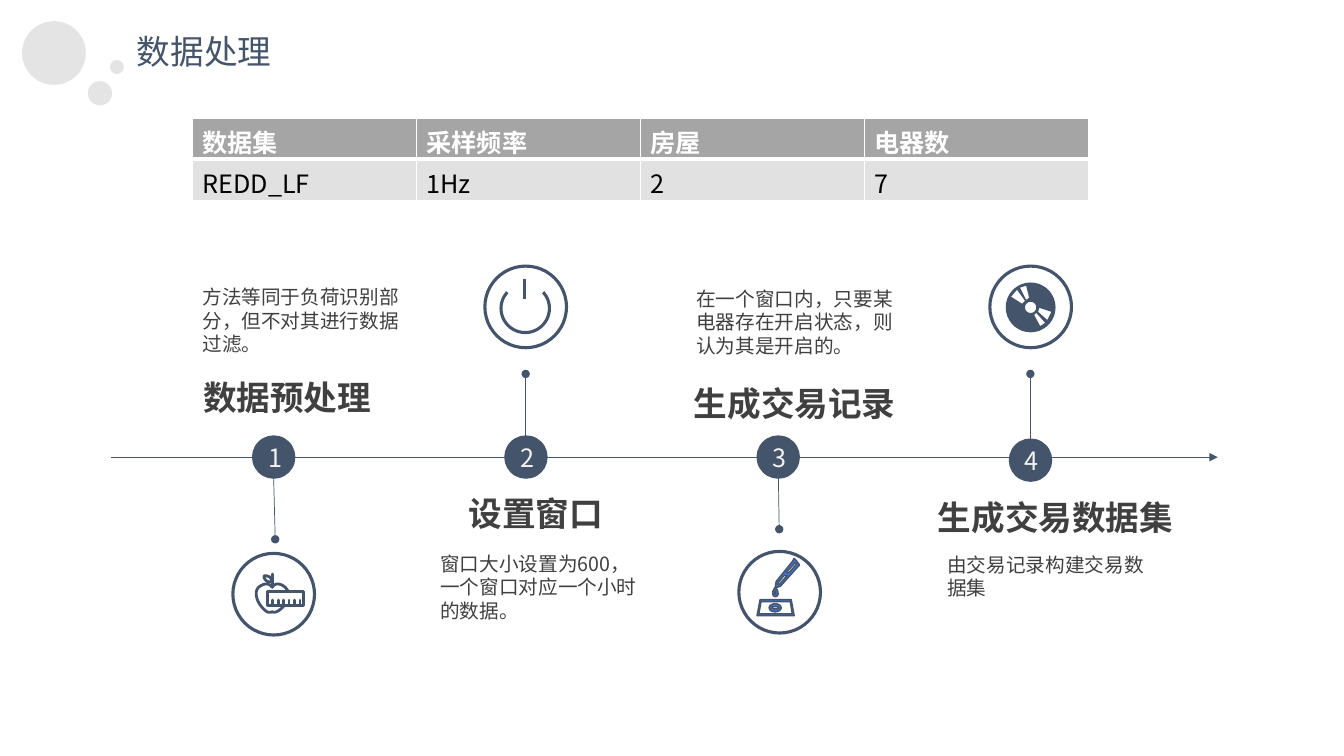
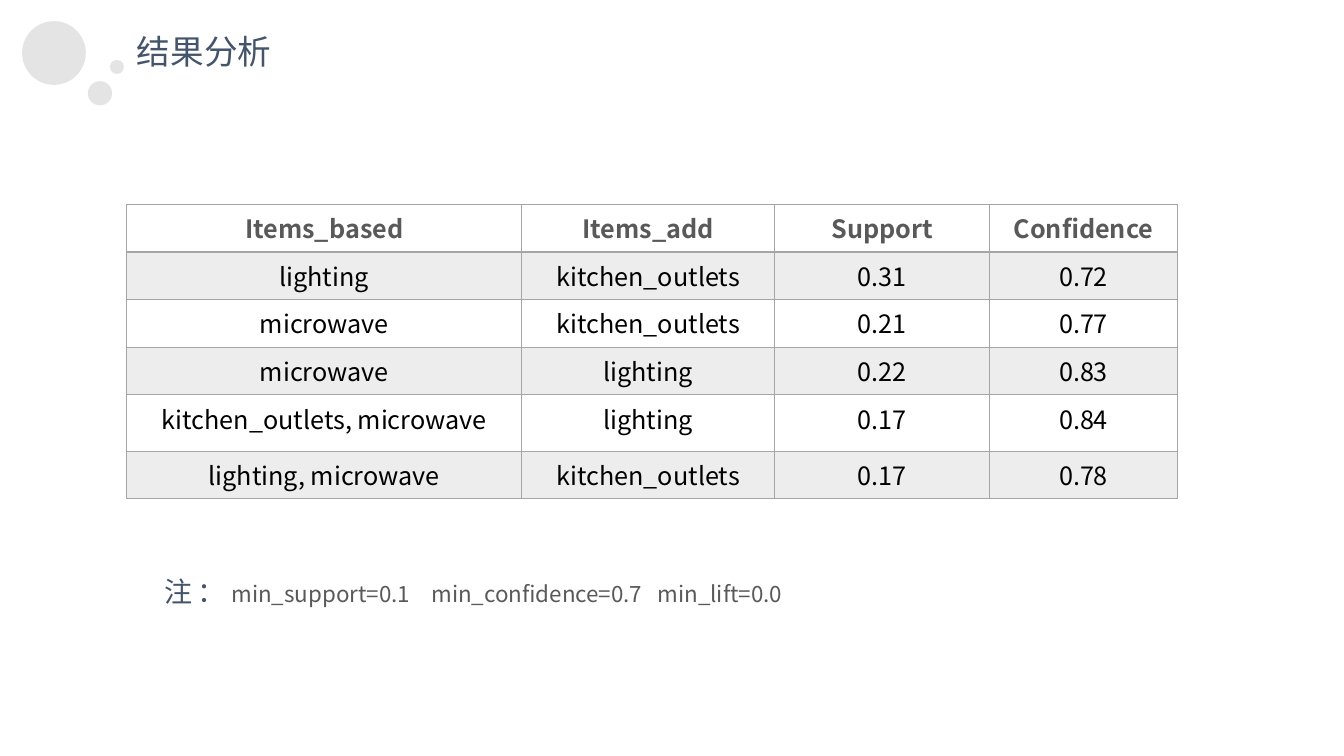
"""Builds two slides: a data-processing timeline and a table of association rules."""
from math import cos, radians, sin
from lxml.etree import SubElement
from pptx import Presentation
from pptx.dml.color import RGBColor
from pptx.enum.shapes import MSO_CONNECTOR, MSO_SHAPE
from pptx.enum.text import MSO_ANCHOR, PP_ALIGN
from pptx.oxml.ns import qn
from pptx.util import Pt

OVAL, DOT, BLOCK_ARC = MSO_SHAPE.OVAL, MSO_SHAPE.FLOWCHART_CONNECTOR, MSO_SHAPE.BLOCK_ARC
STRAIGHT = MSO_CONNECTOR.STRAIGHT
LEFT, CENTER, MIDDLE = PP_ALIGN.LEFT, PP_ALIGN.CENTER, MSO_ANCHOR.MIDDLE
FONT = "Noto Sans CJK SC"
NAVY = RGBColor(0x44, 0x54, 0x6A)
BLUE = RGBColor(0x44, 0x72, 0xC4)
DARK = RGBColor(0x40, 0x40, 0x40)
SLATE = RGBColor(0x59, 0x59, 0x59)
GRAY = RGBColor(0xA5, 0xA5, 0xA5)
SILVER = RGBColor(0xD9, 0xD9, 0xD9)
BAND = RGBColor(0xE1, 0xE1, 0xE1)
PALE = RGBColor(0xED, 0xED, 0xED)
NEAR_WHITE = RGBColor(0xF2, 0xF2, 0xF2)
WHITE = RGBColor(0xFF, 0xFF, 0xFF)
BLACK = RGBColor(0, 0, 0)


def style(p, size, color, bold=False, align=LEFT, leading=None):
    """Sets the alignment, line height and font of a paragraph."""
    p.alignment = align
    if leading:
        p.line_spacing = Pt(leading)
    f = p.font
    f.size, f.bold, f.name = Pt(size), bold, FONT
    f.color.rgb = color
    SubElement(p._p.pPr.find(qn("a:defRPr")), qn("a:ea"), typeface=FONT)


def outline(s, center, contours, fill=None, width=0):
    """Draws closed contours as one shape; a step is a point or the six numbers of a curve."""
    cx, cy = center
    builder = None
    for steps in contours:
        points = [steps[0]]
        for step in steps[1:]:
            if len(step) == 2:
                points.append(step)
                continue
            x0, y0 = points[-1]
            x1, y1, x2, y2, x3, y3 = step
            for t in (i / 8 for i in range(1, 9)):
                u = 1 - t
                a, b, c, d = u ** 3, 3 * u * u * t, 3 * u * t * t, t ** 3
                points.append((a * x0 + b * x1 + c * x2 + d * x3, a * y0 + b * y1 + c * y2 + d * y3))
        placed = [(Pt(cx + x), Pt(cy + y)) for x, y in points]
        if builder is None:
            builder = s.shapes.build_freeform(*placed[0], scale=1.0)
        else:
            builder.move_to(*placed[0])
        builder.add_line_segments(placed[1:], close=True)
    sp = builder.convert_to_shape()
    sp.shadow.inherit = False
    if fill is None:
        sp.fill.background()
    else:
        sp.fill.solid()
        sp.fill.fore_color.rgb = fill
    if width:
        sp.line.color.rgb = NAVY
        sp.line.width = Pt(width)
    else:
        sp.line.fill.background()


prs = Presentation()
prs.slide_width, prs.slide_height = Pt(960), Pt(540)

slides = []
for title in ("数据处理", "结果分析"):
    s = prs.slides.add_slide(prs.slide_layouts[6])
    slides.append(s)
    for x, y, size in ((15.8, 15.1, 45.5), (62.8, 58, 17.3), (78.5, 42.8, 10)):
        sp = s.shapes.add_shape(DOT, Pt(x), Pt(y), Pt(size), Pt(size))
        sp.shadow.inherit = False
        sp.fill.solid()
        sp.fill.fore_color.rgb = SILVER
        sp.line.fill.background()
        SubElement(next(sp._element.spPr.iter(qn("a:srgbClr"))), qn("a:alpha"), val="70000")
    tf = s.shapes.add_textbox(Pt(90.7), Pt(18.7), Pt(111.6), Pt(36)).text_frame
    tf.word_wrap = True
    p = tf.paragraphs[0]
    p.text = title
    style(p, 24, NAVY, leading=28.8)
timeline, results = slides

CONNECTORS = (
    (195.1, 326.2, 196.6, 385.2, "oval"),
    (555.8, 328.3, 556.6, 378, "oval"),
    (375.5, 267.1, 375.5, 337.7, "oval"),
    (736, 267.1, 736, 320.4, "oval"),
    (79.6, 326.6, 869.8, 326.6, None),
)
for x1, y1, x2, y2, head in CONNECTORS:
    cn = timeline.shapes.add_connector(STRAIGHT, Pt(x1), Pt(y1), Pt(x2), Pt(y2))
    cn.line.color.rgb = NAVY
    cn.line.width = Pt(0.5)
    ln = cn.line._get_or_add_ln()
    if head:
        SubElement(ln, qn("a:headEnd"), type=head)
    SubElement(ln, qn("a:tailEnd"), type=head or "triangle")
    SubElement(cn._element.spPr, qn("a:effectLst"))

STEPS = (
    ("数据预处理", 134.6, 267.8, 141.1, "方法等同于负荷识别部分，但不对其进行数据过滤。", 137.5, 200.2),
    ("设置窗口", 323.3, 350.6, 118.8, "窗口大小设置为600，一个窗口对应一个小时的数据。", 307.4, 390.5),
    ("生成交易记录", 480.2, 271.4, 175, "在一个窗口内，只要某电器存在开启状态，则认为其是开启的。", 490.3, 201.2),
    ("生成交易数据集", 661, 353.5, 185.8, "由交易记录构建交易数据集", 669.6, 391.2),
)
for i, (heading, hx, hy, hw, body, bx, by) in enumerate(STEPS):
    sp = timeline.shapes.add_shape(OVAL, Pt(180 + 180.2 * i), Pt(313.2 if i == 3 else 311), Pt(31), Pt(31))
    sp.shadow.inherit = False
    sp.fill.solid()
    sp.fill.fore_color.rgb = NAVY
    sp.line.fill.background()
    tf = sp.text_frame
    tf.margin_right = tf.margin_top = tf.margin_bottom = 0
    tf.margin_left = Pt(2)
    tf.vertical_anchor = MIDDLE
    p = tf.paragraphs[0]
    p.text = str(i + 1)
    style(p, 18, NEAR_WHITE, align=CENTER, leading=22)
    for text, x, y, w, h, font in (
        (heading, hx, hy, hw, 34.6, (24, DARK, True, CENTER, 27)),
        (body, bx, by, 162, 58.3, (14, DARK, False, LEFT, 16.8)),
    ):
        tf = timeline.shapes.add_textbox(Pt(x), Pt(y), Pt(w), Pt(h)).text_frame
        tf.word_wrap = True
        p = tf.paragraphs[0]
        p.text = text
        style(p, *font)

APPLE, POWER, DROPPER, DISC = (195.5, 424.4), (375.5, 219.2), (556.9, 423), (736.2, 219.2)
for cx, cy in (APPLE, POWER, DROPPER, DISC):
    sp = timeline.shapes.add_shape(OVAL, Pt(cx - 29.15), Pt(cy - 29.15), Pt(58.3), Pt(58.3))
    sp.shadow.inherit = False
    sp.fill.background()
    sp.line.color.rgb = NAVY
    sp.line.width = Pt(2.25)

circle = [(cos(radians(a)), sin(radians(a))) for a in range(0, 360, 10)]
disc = [[(r * x, r * y + 0.4) for x, y in circle] for r in (17.8, 4)]
slots = [
    ((-3.2, -5), (-1.1, -6.5), (-3.2, -15.1), (-7.6, -13.7)),
    ((-14, -7.2), (-6.1, -2.2), (-4, -4.3), (-9.7, -12.2)),
    ((4, 4.3), (2.5, 5.8), (6.8, 13.7), (10.4, 11.5)),
    ((14.8, 3.6), (6.1, 0.7), (5.4, 3.6), (11.9, 9.4)),
]
outline(timeline, DISC, disc + slots, fill=NAVY)

arc = timeline.shapes.add_shape(BLOCK_ARC, Pt(POWER[0] - 18.7), Pt(POWER[1] - 17.3), Pt(36.8), Pt(36.8))
arc.shadow.inherit = False
for i, value in enumerate((318 * 0.6, 222 * 0.6, 0.06)):
    arc.adjustments[i] = value
arc.fill.solid()
arc.fill.fore_color.rgb = NAVY
arc.line.fill.background()
outline(timeline, POWER, [((-0.7, -20.2), (-0.7, -5.3))], width=2)

apple = (
    (-1.1, -5), (-3.2, -7.9, -6.1, -7.6, -8.3, -6.5), (-12.6, -4.7, -13.3, -1, -11.9, 3.2),
    (-10.8, 7.2, -6.8, 11.5, -4.7, 12.6), (-3.2, 13.3, -1.8, 13, -1.1, 12.6),
    (1.1, 13.7, 4, 11.9, 6.8, 9), (10, 6, 11.5, 2, 10.4, -1.8),
    (9, -4.7, 7, -6, 5.8, -6.5), (3.6, -7.6, 1.1, -7.9, -1.1, -5),
)
leaf = (
    (-6.8, -13), (-5.8, -13.3, -4, -13, -2.9, -12.2), (-1.8, -11.5, -1.4, -10, -1.4, -9),
    (-3, -8.6, -5, -9, -5.4, -9.7), (-6.5, -10.8, -7.2, -12.2, -6.8, -13),
)
stem = ((-1.1, -14.4), (-1.1, -5))
ruler = ((-4.3, -1.8), (21.6, -1.8), (21.6, 8.3), (-4.3, 8.3))
ticks = [((-0.7 + 3.9 * i, 4.3), (-0.7 + 3.9 * i, 8.3)) for i in range(6)]
outline(timeline, APPLE, [apple, leaf, stem], width=2)
outline(timeline, APPLE, [ruler] + ticks, fill=WHITE, width=2)

drop_sizes = ((-3.2, -3.2, 3.2, 1.8), (-1.1, -0.7, 1.1, 0.7))
dropper = [[(rx * x - 3.2, ry * y + 11.2) for x, y in circle] for rx, ry in ((4.3, 2.9), (2.6, 0.8))]
dropper += [
    ((-13.3, 6.8), (-14.8, 15.5), (9, 15.5), (7.6, 6.8)),
    ((-14, 5.4), (8.3, 5.4), (10.4, 16.9), (-16.2, 16.9)),
    ((-3.2, -1.1), (-3.4, -0.3, -3.4, 0.4, -3.4, 1.1), (-3.2, 1.8), (-2.8, 1.1), (-2.6, 0.4, -2.8, -0.5, -3.2, -1.1)),
    ((-3.2, -3.2), (-2.5, -3.2, -1.1, -1.1, -1.1, 1.1), (-1.1, 2.5, -1.8, 3.2, -3.2, 3.2),
     (-4, 3.2, -4.9, 2.5, -4.9, 1.1), (-5.4, -1.1, -3.2, -3.2, -3.2, -3.2)),
    ((3.2, -11.9), (-1.1, -6.8), (-1.1, -5.4), (-0.4, -5.4), (5.4, -11.9)),
    ((11.2, -21.2), (4.7, -14), (6.8, -14), (11.9, -19.8)),
    ((10.4, -24.1), (11.2, -23.4), (14, -19.8), (14, -19.1), (13.3, -18.4), (0.4, -4),
     (-3.2, -3.2), (-2.5, -7.6), (9.7, -22.7), (9.7, -23.4)),
]
outline(timeline, DROPPER, dropper, fill=BLUE, width=1)

DATASET = (
    ("数据集", "采样频率", "房屋", "电器数"),
    ("REDD_LF", "1Hz", "2", "7"),
)
RULES = (
    ("Items_based", "Items_add", "Support", "Confidence"),
    ("lighting", "kitchen_outlets", "0.31", "0.72"),
    ("microwave", "kitchen_outlets", "0.21", "0.77"),
    ("microwave", "lighting", "0.22", "0.83"),
    ("kitchen_outlets, microwave", "lighting", "0.17", "0.84"),
    ("lighting, microwave", "kitchen_outlets", "0.17", "0.78"),
)
TABLES = (
    (timeline, DATASET, 137.5, 84.6, [160] * 4, [29.2] * 2, LEFT, WHITE, GRAY, BAND, WHITE, 3),
    (results, RULES, 90.5, 146.1, [282.2, 180.7, 153.4, 134.4], [34, 34, 34, 34, 40.2, 33.9],
     CENTER, SLATE, WHITE, PALE, GRAY, 2),
)
for s, rows, x, y, widths, heights, align, head_color, head_fill, band, border, rule in TABLES:
    frame = s.shapes.add_table(len(rows), 4, Pt(x), Pt(y), Pt(sum(widths)), Pt(sum(heights)))
    table = frame.table
    table.first_row = table.horz_banding = False
    for column, width in zip(table.columns, widths):
        column.width = Pt(width)
    for i, (row, height) in enumerate(zip(rows, heights)):
        table.rows[i].height = Pt(height)
        for j, text in enumerate(row):
            cell = table.cell(i, j)
            if s is timeline:
                cell.margin_bottom = 0
            tcPr = cell._tc.get_or_add_tcPr()
            for side in "LRTB":
                thick = side == "B" and i == 0
                ln = SubElement(tcPr, qn("a:ln" + side), w=str(Pt(rule if thick else 1)))
                SubElement(SubElement(ln, qn("a:solidFill")), qn("a:srgbClr"), val=str(border))
            cell.fill.solid()
            cell.fill.fore_color.rgb = head_fill if i == 0 else band if i % 2 else WHITE
            p = cell.text_frame.paragraphs[0]
            p.text = text
            style(p, 18, BLACK if i else head_color, i == 0, align)

tf = results.shapes.add_textbox(Pt(110.2), Pt(395.3), Pt(792), Pt(39.6)).text_frame
tf.word_wrap = True
p = tf.paragraphs[0]
tabs = SubElement(p._p.get_or_add_pPr(), qn("a:tabLst"))
for position in (191, 352.5):
    SubElement(tabs, qn("a:tab"), pos=str(Pt(position)), algn="l")
style(p, 16, SLATE, leading=35.5)
r = p.add_run()
r.text = "注："
r.font.size = Pt(20)
r.font.color.rgb = NAVY
r._r.get_or_add_rPr().set("spc", "400")
r = p.add_run()
r.text = "min_support=0.1\tmin_confidence=0.7\tmin_lift=0.0"

prs.save("out.pptx")
